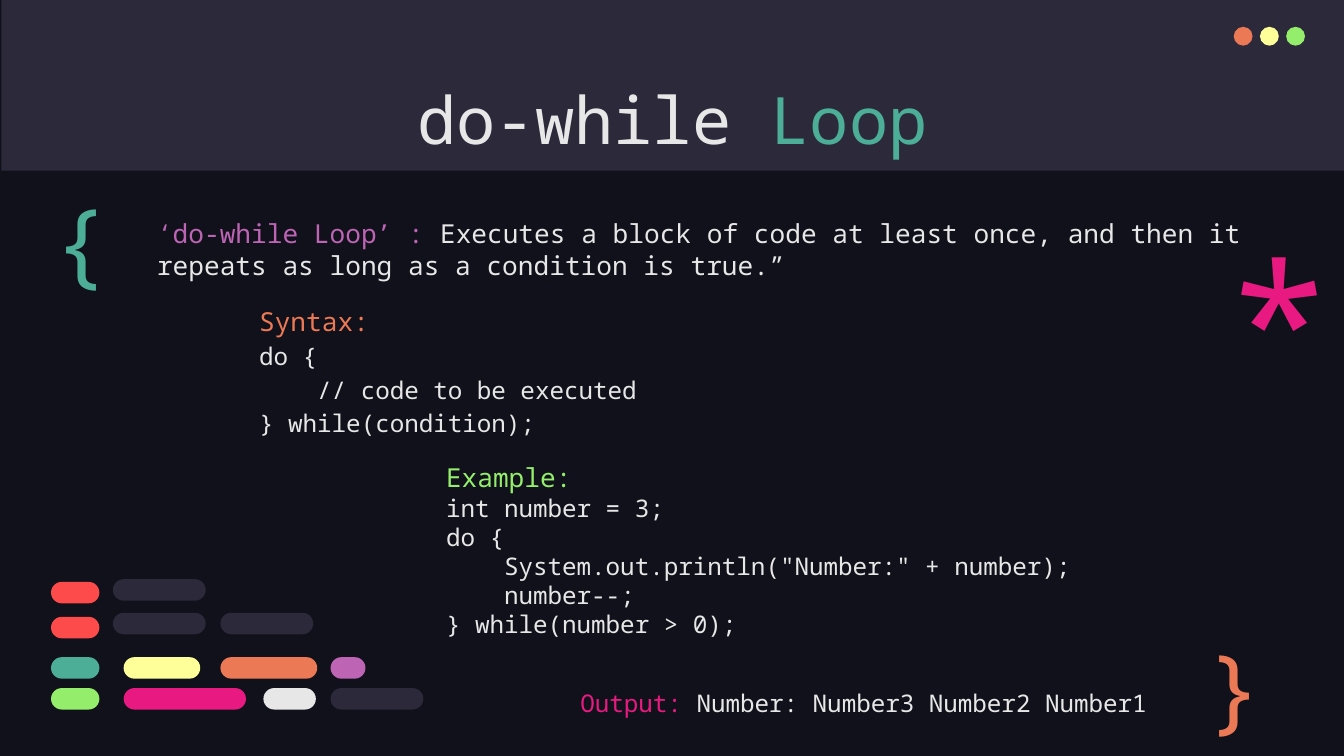
import pptx
import pptx.dml.color
import pptx.enum.shapes
import pptx.enum.text
import pptx.util

Inches = pptx.util.Inches
Pt = pptx.util.Pt
Shape = pptx.enum.shapes.MSO_SHAPE
Anchor = pptx.enum.text.MSO_ANCHOR
Align = pptx.enum.text.PP_ALIGN
AutoSize = pptx.enum.text.MSO_AUTO_SIZE

FONT = "Noto Sans Mono"
SLIDE_WIDTH = Inches(10)
SLIDE_HEIGHT = SLIDE_WIDTH * 9 // 16
COLORS = {
    "background": "10111A",
    "panel": "2C293A",
    "text": "E7E7E7",
    "orange": "EC7955",
    "yellow": "FFFF99",
    "green": "94EE6B",
    "teal": "4CAE97",
    "pink": "E81A81",
    "purple": "BD64B5",
    "red": "FD4A4A",
}


def color(name):
    return pptx.dml.color.RGBColor.from_string(COLORS[name])


def apply_format(target, values):
    for name, value in values.items():
        setattr(target, name, value)


def add_filled(slide, kind, box, fill):
    shape = slide.shapes.add_shape(kind, *map(Inches, box))
    shape.shadow.inherit = False
    shape.fill.solid()
    shape.fill.fore_color.rgb = color(fill)
    shape.line.fill.background()
    return shape


def add_text(slide, box, paragraphs, inset=0.1, **frame_format):
    frame = slide.shapes.add_textbox(*map(Inches, box)).text_frame
    margins = {"margin_top": Inches(inset), "margin_bottom": Inches(inset)}
    apply_format(frame, {"word_wrap": True, **margins, **frame_format})
    for index, (runs, paragraph_format) in enumerate(paragraphs):
        paragraph = frame.paragraphs[0] if index == 0 else frame.add_paragraph()
        apply_format(paragraph, paragraph_format)
        for text, size, name in runs:
            run = paragraph.add_run()
            run.text = text
            apply_format(run.font, {"name": FONT, "size": Pt(size)})
            run.font.color.rgb = color(name)
    return frame


def code_lines(lines, **paragraph_format):
    return [([(line, 13, "text")], paragraph_format) for line in lines]


def add_header(slide, left, top, width, height):
    add_filled(slide, Shape.RECTANGLE, (left, top, width, height), "panel")
    for index, name in enumerate(("orange", "yellow", "green")):
        dot = (left + 9.17 + index * 0.195, top + 0.2, 0.14, 0.14)
        add_filled(slide, Shape.OVAL, dot, name)
    title = [("do-while ", 35, "text"), ("Loop", 35, "teal")]
    add_text(slide, (left + 0.78, top + 0.49, 8.43, 0.63),
             [(title, {"alignment": Align.CENTER})])


def add_definition(slide, left, top, width, height):
    runs = [
        ("‘do-while Loop’ : ", 14, "purple"),
        ("Executes a block of code at least once, and then it repeats "
         "as long as a condition is true.”", 14, "text"),
    ]
    add_text(slide, (left, top, width, height), [(runs, {})], 0.05,
             auto_size=AutoSize.SHAPE_TO_FIT_TEXT)


def add_syntax(slide, left, top, width, height):
    spacing = {"line_spacing": 1.15}
    heading = ([("Syntax:", 14, "orange")], spacing)
    lines = ["do {", "    // code to be executed", "} while(condition);"]
    add_text(slide, (left, top, width, height), [heading, *code_lines(lines, **spacing)])


def add_example(slide, left, top, width, height):
    heading = ([("Example:", 14, "green")], {"line_spacing": 1.15})
    lines = [
        "int number = 3;",
        "do {",
        '    System.out.println("Number:" + number);',
        "    number--;",
        "} while(number > 0);",
    ]
    output = ([("Output: ", 13, "pink"), ("Number: Number3 Number2 Number1", 13, "text")],
              {"line_spacing": 1.5, "space_before": Pt(18.5)})
    frame = add_text(slide, (left, top, width, height),
                     [heading, *code_lines(lines), output], 0.05,
                     auto_size=AutoSize.SHAPE_TO_FIT_TEXT)
    properties = frame.paragraphs[-1]._p.get_or_add_pPr()
    properties.set("marL", str(Inches(1)))
    properties.set("indent", "0")


def add_code_bars(slide, left, top):
    rows = [
        (0, [(0.46, 0.69, "panel")]),
        (0.02, [(0, 0.36, "red")]),
        (0.25, [(0.46, 0.69, "panel"), (1.26, 0.69, "panel")]),
        (0.28, [(0, 0.36, "red")]),
        (0.58, [(0, 0.36, "teal"), (0.54, 0.57, "yellow"),
                (1.26, 0.72, "orange"), (2.08, 0.26, "purple")]),
        (0.81, [(0, 0.36, "green"), (0.54, 0.91, "pink"),
                (1.58, 0.39, "text"), (2.08, 0.69, "panel")]),
    ]
    for row_top, bars in rows:
        for bar_left, width, name in bars:
            box = (left + bar_left, top + row_top, width, 0.16)
            bar = add_filled(slide, Shape.ROUNDED_RECTANGLE, box, name)
            bar.adjustments[0] = 0.5


def add_symbol(slide, box, symbol, size, name, anchor=Anchor.TOP):
    add_text(slide, box, [([(symbol, size, name)], {})], vertical_anchor=anchor)


def main():
    presentation = pptx.Presentation()
    apply_format(presentation, {"slide_width": SLIDE_WIDTH, "slide_height": SLIDE_HEIGHT})
    slide = presentation.slides.add_slide(presentation.slide_layouts[6])
    slide.background.fill.solid()
    slide.background.fill.fore_color.rgb = color("background")
    add_header(slide, 0.01, 0, 10, 1.27)
    add_syntax(slide, 1.83, 2.14, 8.14, 0.98)
    add_symbol(slide, (9.02, 1.48, 0.57, 0.87), "*", 96, "pink")
    add_code_bars(slide, 0.38, 4.31)
    add_symbol(slide, (0.3, 1.26, 0.77, 0.95), "{", 50, "teal")
    add_definition(slide, 1.07, 1.57, 8.72, 0.57)
    add_example(slide, 3.22, 3.35, 5.68, 2.01)
    add_symbol(slide, (8.88, 4.68, 0.57, 0.83), "}", 50, "orange", Anchor.MIDDLE)
    presentation.save("out.pptx")


if __name__ == "__main__":
    main()
